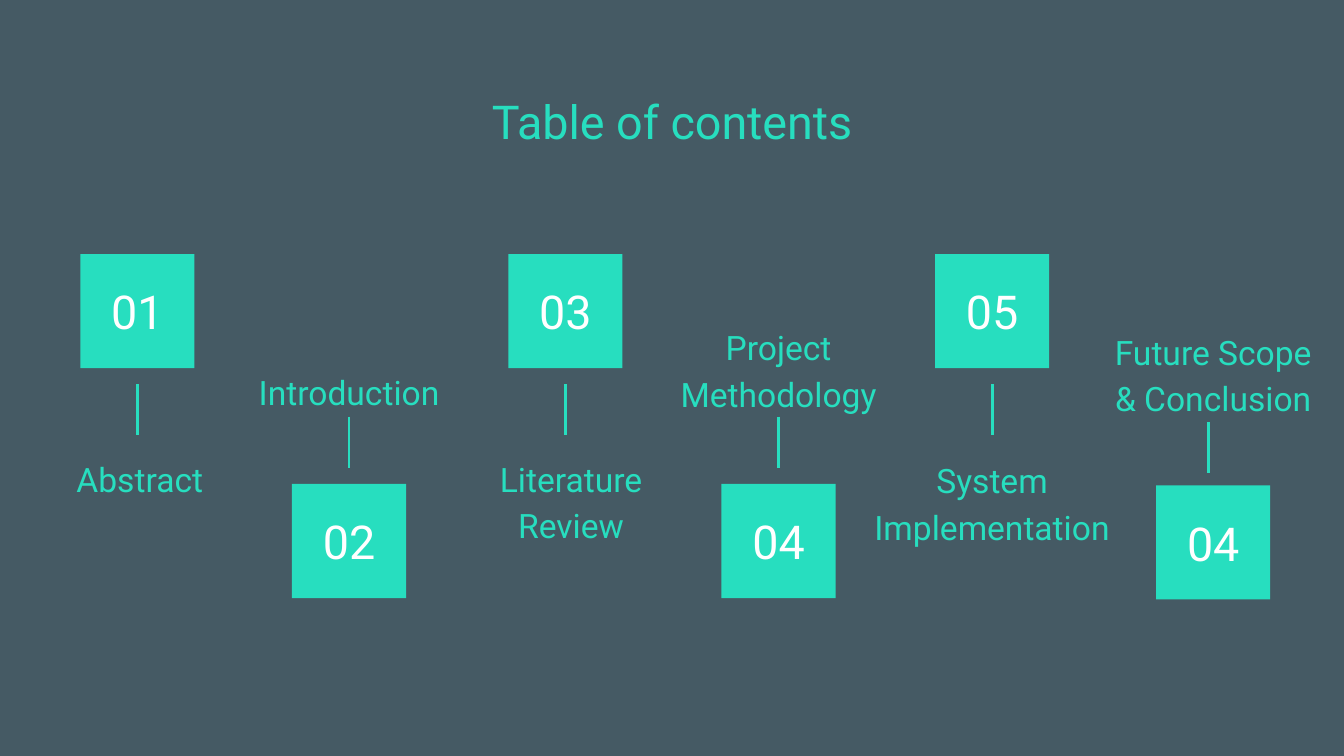
from dataclasses import dataclass

from lxml import etree
from pptx import Presentation
from pptx.dml.color import RGBColor
from pptx.enum.shapes import MSO_CONNECTOR, MSO_SHAPE
from pptx.enum.text import MSO_ANCHOR, PP_ALIGN
from pptx.oxml.ns import qn
from pptx.slide import Slide
from pptx.text.text import TextFrame
from pptx.util import Pt

CENTER = PP_ALIGN.CENTER
TOP, MIDDLE = MSO_ANCHOR.TOP, MSO_ANCHOR.MIDDLE
RECTANGLE = MSO_SHAPE.RECTANGLE
STRAIGHT = MSO_CONNECTOR.STRAIGHT

COLORS = {"background": "455A64", "accent": "27DEBF", "number": "FFFFFF"}
FONT = "Roboto"
HEADING_SIZE, LABEL_SIZE = 25, 18
TILE = 61.2
STEM_LENGTH = 27.4
LABEL_HEIGHT = 32.4
INSET = 7.2
UPPER_TILE_TOP, LOWER_TILE_TOP = 136.1, 259.2
UPPER_STEM_TOP, LOWER_STEM_TOP = 205.9, 223.2


@dataclass(frozen=True)
class Chapter:
    number: str
    label: str
    center: float
    label_top: float
    upper: bool
    label_width: float = 121
    label_shift: float = 0
    stem_shift: float = 0
    stem_drop: float = 0
    tile_drop: float = 0


CHAPTERS = [
    Chapter("01", "Abstract", 73.6, 235.4, True, label_shift=1.3),
    Chapter("02", "Introduction", 187, 188.6, False),
    Chapter("03", "Literature Review", 302.9, 235.4, True, label_shift=3),
    Chapter("04", "Project Methodology", 417.1, 164.9, False),
    Chapter("05", "System Implementation", 531.5, 236.2, True, label_width=145.4),
    Chapter("04", "Future Scope & Conclusion", 649.9, 167.4, False,
            stem_shift=-2.4, stem_drop=2.9, tile_drop=0.8),
]


def color(name: str) -> RGBColor:
    return RGBColor.from_string(COLORS[name])


def write(frame: TextFrame, text: str, size: float, color_name: str,
          anchor: MSO_ANCHOR = TOP) -> None:
    frame.word_wrap = True
    frame.vertical_anchor = anchor
    frame.margin_left = frame.margin_right = Pt(INSET)
    frame.margin_top = frame.margin_bottom = Pt(INSET)
    paragraph = frame.paragraphs[0]
    paragraph.text = text
    paragraph.alignment = CENTER
    paragraph.font.name = FONT
    paragraph.font.size = Pt(size)
    paragraph.font.color.rgb = color(color_name)


def add_title(slide: Slide, text: str) -> None:
    title = slide.shapes.add_textbox(Pt(56.2), Pt(42.5), Pt(607.6), Pt(43.2))
    write(title.text_frame, text, HEADING_SIZE, "accent")


def add_tile(slide: Slide, chapter: Chapter) -> None:
    top = (UPPER_TILE_TOP if chapter.upper else LOWER_TILE_TOP) + chapter.tile_drop
    tile = slide.shapes.add_shape(
        RECTANGLE, Pt(chapter.center - TILE / 2), Pt(top), Pt(TILE), Pt(TILE))
    tile.shadow.inherit = False
    tile.fill.solid()
    tile.fill.fore_color.rgb = color("accent")
    tile.line.fill.background()
    write(tile.text_frame, chapter.number, HEADING_SIZE, "number", MIDDLE)


def add_stem(slide: Slide, chapter: Chapter) -> None:
    """Draw the short line between a tile and its label."""
    x = Pt(chapter.center + chapter.stem_shift)
    top = (UPPER_STEM_TOP if chapter.upper else LOWER_STEM_TOP) + chapter.stem_drop
    stem = slide.shapes.add_connector(STRAIGHT, x, Pt(top), x, Pt(top + STEM_LENGTH))
    stem.line.color.rgb = color("accent")
    stem.line.width = Pt(1.5)
    etree.SubElement(stem._element.spPr, qn("a:effectLst"))


def add_label(slide: Slide, chapter: Chapter) -> None:
    left = chapter.center + chapter.label_shift - chapter.label_width / 2
    label = slide.shapes.add_textbox(
        Pt(left), Pt(chapter.label_top), Pt(chapter.label_width), Pt(LABEL_HEIGHT))
    write(label.text_frame, chapter.label, LABEL_SIZE, "accent")
    paragraph = label.text_frame.paragraphs[0]
    paragraph.line_spacing = 1.15
    paragraph.space_after = Pt(12)


def main() -> None:
    deck = Presentation()
    deck.slide_width, deck.slide_height = Pt(720), Pt(405)
    slide = deck.slides.add_slide(deck.slide_layouts[6])
    slide.background.fill.solid()
    slide.background.fill.fore_color.rgb = color("background")

    add_title(slide, "Table of contents")
    for chapter in CHAPTERS:
        add_tile(slide, chapter)
        add_stem(slide, chapter)
        add_label(slide, chapter)
    deck.save("out.pptx")


if __name__ == "__main__":
    main()
